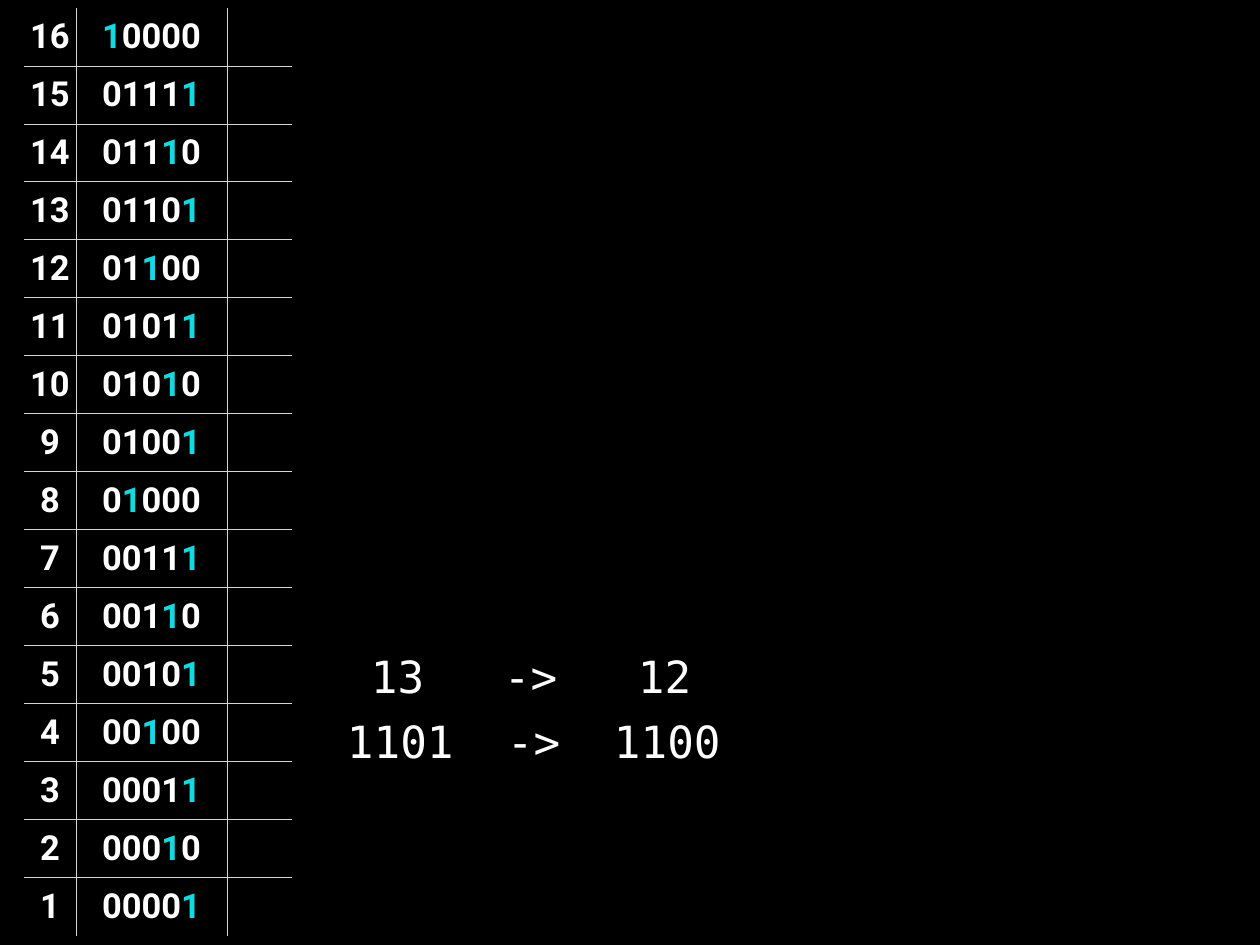
from lxml import etree
from pptx import Presentation
from pptx import util as u
from pptx.dml.color import RGBColor
from pptx.enum import text
from pptx.oxml import ns

PX = 10321  # EMU per pixel
BLACK = RGBColor(0x00, 0x00, 0x00)
WHITE = RGBColor(0xFF, 0xFF, 0xFF)
CYAN = RGBColor(0x11, 0xDB, 0xE2)
RULE = RGBColor(0xD5, 0xD5, 0xD5)
TABLE_FONT = "Roboto"
CODE_FONT = "DejaVu Sans Mono"
LAST_NUMBER = 16
COLUMNS = (52, 151, 65)
ROW_HEIGHT = 58
INSET = 5


def px(length):
    return u.Emu(length * PX)


def set_insets(holder):
    holder.margin_left = holder.margin_right = px(INSET)
    holder.margin_top = holder.margin_bottom = px(INSET)


def set_font(font, name, size, color=None, bold=False):
    font.name, font.size, font.bold = name, u.Pt(size), bold
    if color is not None:
        font.color.rgb = color


def add_border(cell, side, visible):
    properties = cell._tc.get_or_add_tcPr()
    line = etree.SubElement(properties, ns.qn(f"a:ln{side}"), w=str(u.Pt(0.75)))
    if visible:
        fill = etree.SubElement(line, ns.qn("a:solidFill"))
        etree.SubElement(fill, ns.qn("a:srgbClr"), val=str(RULE))
    else:
        etree.SubElement(line, ns.qn("a:noFill"))


def style_cell(cell, row, column):
    """Draw the inner rules only, and center the text on black."""
    add_border(cell, "L", column > 0)
    add_border(cell, "R", column < len(COLUMNS) - 1)
    add_border(cell, "T", row > 0)
    add_border(cell, "B", row < LAST_NUMBER - 1)
    cell.fill.solid()
    cell.fill.fore_color.rgb = BLACK
    set_insets(cell)
    cell.vertical_anchor = text.MSO_ANCHOR.MIDDLE
    para = cell.text_frame.paragraphs[0]
    para.alignment = text.PP_ALIGN.CENTER
    set_font(para.font, TABLE_FONT, 28, WHITE, bold=True)


def write_spans(cell, spans):
    para = cell.text_frame.paragraphs[0]
    for content, color in spans:
        if content:
            span = para.add_run()
            span.text = content
            set_font(span.font, TABLE_FONT, 28, color, bold=True)


def lowest_bit_spans(number):
    """Split the five binary digits around the lowest set bit."""
    digits = f"{number:05b}"
    bit = digits.rindex("1")
    return (digits[:bit], WHITE), ("1", CYAN), (digits[bit + 1:], WHITE)


def add_binary_table(page):
    frame = page.shapes.add_table(
        LAST_NUMBER, len(COLUMNS), px(24), px(8),
        px(sum(COLUMNS)), px(ROW_HEIGHT * LAST_NUMBER))
    table = frame.table
    table.first_row = table.horz_banding = False
    for column, width in enumerate(COLUMNS):
        table.columns[column].width = px(width)
    for row in range(LAST_NUMBER):
        table.rows[row].height = px(ROW_HEIGHT)
        for column in range(len(COLUMNS)):
            style_cell(table.cell(row, column), row, column)
        number = LAST_NUMBER - row
        write_spans(table.cell(row, 0), [(str(number), WHITE)])
        write_spans(table.cell(row, 1), lowest_bit_spans(number))


def add_step(page, left, top, width, words, stops):
    """Add one line of code whose words stand at tab stops."""
    box = page.shapes.add_textbox(px(left), px(top), px(width), px(60))
    frame = box.text_frame
    frame.word_wrap = True
    frame.vertical_anchor = text.MSO_ANCHOR.MIDDLE
    set_insets(frame)
    para = frame.paragraphs[0]
    para.add_run().text = "\t".join(words)
    tabs = etree.SubElement(para._p.get_or_add_pPr(), ns.qn("a:tabLst"))
    for stop in stops:
        etree.SubElement(tabs, ns.qn("a:tab"), pos=str(px(stop)), algn="l")
    set_font(para.font, CODE_FONT, 36, WHITE)


def main():
    deck = Presentation()
    deck.slide_width, deck.slide_height = px(1260), px(945)
    page = deck.slides.add_slide(deck.slide_layouts[6])
    page.background.fill.solid()
    page.background.fill.fore_color.rgb = BLACK
    add_binary_table(page)
    add_step(page, 366, 646, 335, ("13", "->", "12"), (133, 267))
    add_step(page, 342, 711, 390, ("1101", "->", "1100"), (160, 267))
    deck.save("out.pptx")


if __name__ == "__main__":
    main()
